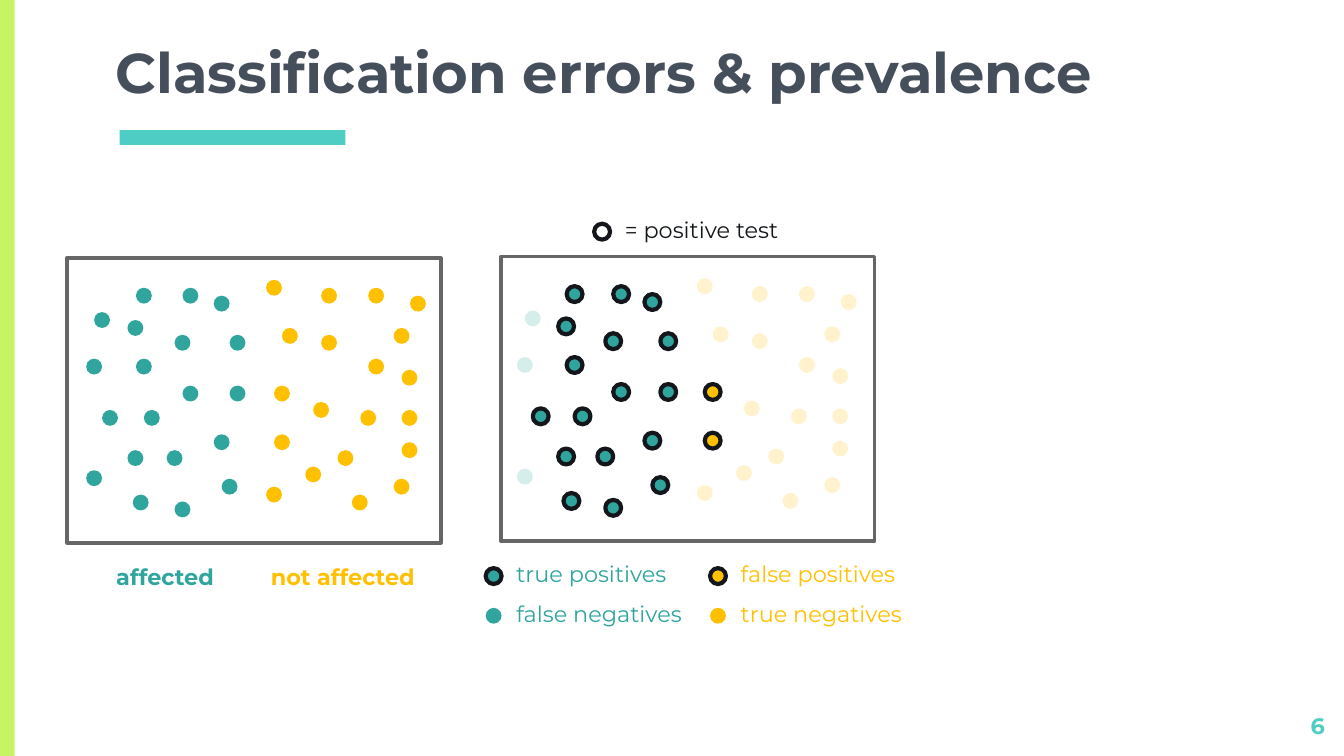
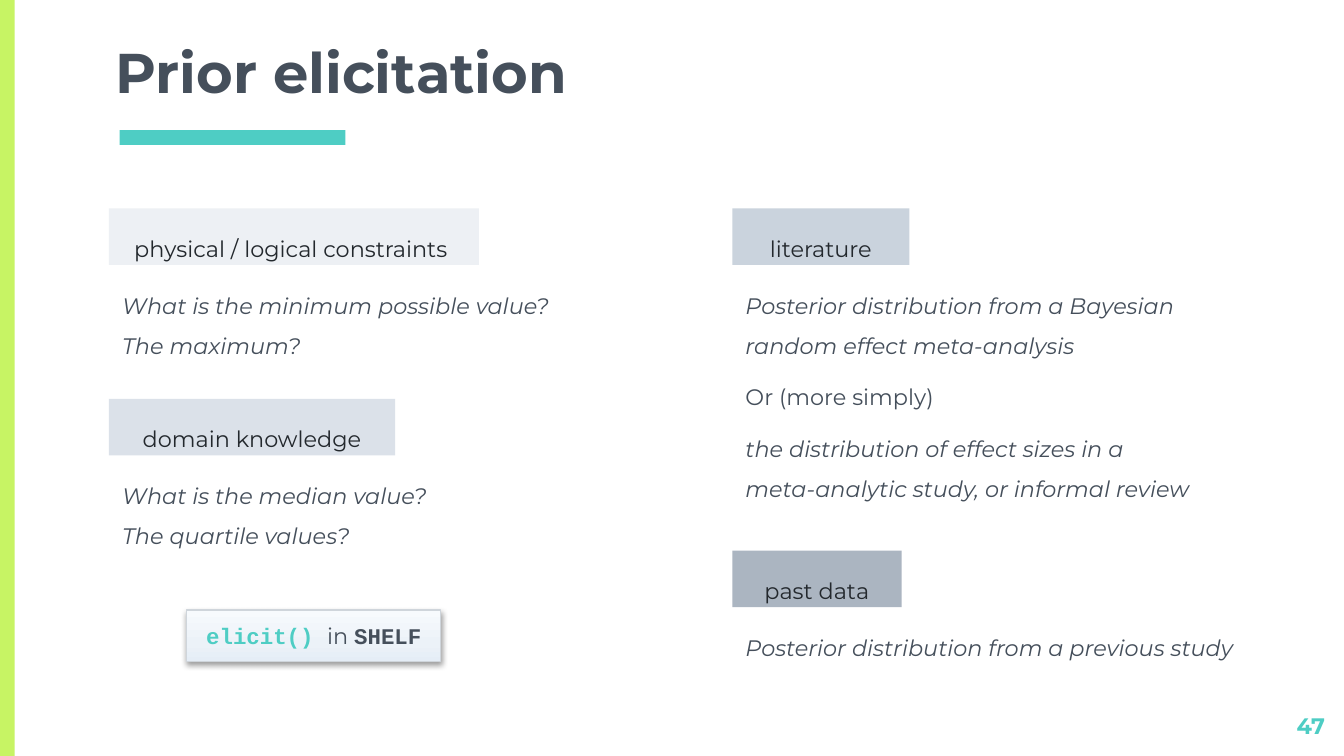
from dataclasses import dataclass

from lxml import etree
from pptx import Presentation
from pptx import util as u
from pptx.dml.color import RGBColor
from pptx.enum import shapes, text
from pptx.oxml.ns import qn

RECT, OVAL = shapes.MSO_SHAPE.RECTANGLE, shapes.MSO_SHAPE.OVAL
LEFT, CENTER, RIGHT = text.PP_ALIGN.LEFT, text.PP_ALIGN.CENTER, text.PP_ALIGN.RIGHT
TOP, MIDDLE, BOTTOM = text.MSO_ANCHOR.TOP, text.MSO_ANCHOR.MIDDLE, text.MSO_ANCHOR.BOTTOM


@dataclass(frozen=True)
class Theme:
    font: str = "Montserrat"
    code_font: str = "Courier New"
    title_size: float = 30
    body_size: float = 12
    slate: str = "454F5B"
    ink: str = "23282D"
    turquoise: str = "4ECDC4"
    lime: str = "C7F464"
    affected: str = "2FA59D"
    healthy: str = "FFC000"
    ring: str = "13161A"
    key_text: str = "121619"
    frame: str = "666666"
    white: str = "FFFFFF"
    card_line: str = "CFD5DB"
    card_stops: tuple = ((0, "E5EDF6"), (35, "ECF2F8"), (100, "F7FAFD"))
    topics: tuple = ("EDF0F4", "DBE1E9", "CAD3DD", "ABB5C1")


THEME = Theme()


@dataclass(frozen=True)
class Box:
    """A rectangle in centimetres."""
    left: float
    top: float
    width: float
    height: float

    def inner(self, left, top, width, height):
        return Box(self.left + left, self.top + top, width, height)

    def lengths(self):
        return [u.Cm(n) for n in (self.left, self.top, self.width, self.height)]


PAGE = Box(0, 0, 25.4, 14.29)
DOT = 0.3
INSET = 0.25
HANGING_INSET = 0.46
LABEL_HEIGHT = 1.07

# Dot corners inside a panel, by (affected, positive test)
DOTS = {
    (True, True): [
        (1.3, 1.9), (2.03, 1.45), (2.18, 0.56), (1.14, 1.17), (0.66, 2.87), (1.45, 2.87),
        (2.18, 2.41), (1.14, 3.63), (1.88, 3.63), (2.77, 3.33), (3.07, 1.45), (2.03, 4.6),
        (2.77, 0.71), (1.3, 0.56), (1.24, 4.47), (2.92, 4.17), (3.07, 2.41)],
    (True, False): [(0.36, 1.9), (0.51, 1.02), (0.36, 4.01)],
    (False, True): [(3.91, 3.33), (3.91, 2.41)],
    (False, False): [
        (5.69, 1.9), (4.8, 1.45), (4.8, 0.56), (6.17, 1.32), (6.32, 2.11), (6.32, 2.87),
        (5.54, 2.87), (4.65, 2.72), (6.17, 4.17), (5.11, 3.63), (4.06, 1.32), (4.5, 3.94),
        (6.48, 0.71), (3.76, 0.41), (5.69, 0.56), (6.32, 3.48), (5.38, 4.47), (3.76, 4.32)],
}


def rgb(color):
    return RGBColor.from_string(color)


def add_child(parent, tag, **attributes):
    return etree.SubElement(parent, qn(tag), {k: str(v) for k, v in attributes.items()})


def add_block(parent, kind, box, fill=None, line=None, weight=1.0):
    shape = parent.shapes.add_shape(kind, *box.lengths())
    shape.shadow.inherit = False
    if fill:
        shape.fill.solid()
        shape.fill.fore_color.rgb = rgb(fill)
    else:
        shape.fill.background()
    if line:
        shape.line.color.rgb = rgb(line)
        shape.line.width = u.Pt(weight)
    else:
        shape.line.fill.background()
    return shape


def style_span(span, color, size=THEME.body_size, font=THEME.font, bold=False, italic=False):
    span.font.name, span.font.size = font, u.Pt(size)
    span.font.bold, span.font.italic = bold, italic
    span.font.color.rgb = rgb(color)


def set_up_frame(shape, anchor=TOP, left_inset=INSET):
    frame = shape.text_frame
    frame.word_wrap, frame.vertical_anchor = True, anchor
    frame.margin_left = u.Cm(left_inset)
    frame.margin_right = frame.margin_top = frame.margin_bottom = u.Cm(INSET)
    return frame


def write(shape, words, color, align=LEFT, anchor=TOP, left_inset=INSET, spacing=None, **style):
    frame = set_up_frame(shape, anchor, left_inset)
    frame.text = words
    para = frame.paragraphs[0]
    para.alignment, para.line_spacing = align, spacing
    for span in para.runs:
        style_span(span, color, **style)


def add_label(parent, box, words, color, **style):
    write(parent.shapes.add_textbox(*box.lengths()), words, color, **style)


def add_page(deck, title, number):
    page = deck.slides.add_slide(deck.slide_layouts[6])
    add_block(page, RECT, PAGE.inner(2.26, 2.46, 4.27, 0.28), THEME.turquoise)
    add_block(page, RECT, PAGE.inner(0, 0, 0.28, PAGE.height), THEME.lime)
    add_label(page, PAGE.inner(1.93, -0.46, 21.56, 2.69), title, THEME.slate,
              anchor=BOTTOM, size=THEME.title_size, bold=True)
    add_label(page, PAGE.inner(23.77, 13.21, 1.52, 0.86), str(number), THEME.turquoise,
              align=RIGHT, bold=True)
    return page


def add_dot(parent, box, fill, ringed=False, faded=False):
    dot = add_block(parent, OVAL, box, fill, THEME.ring if ringed else None, 2.25)
    if faded:
        color = dot._element.spPr.find(qn("a:solidFill")).find(qn("a:srgbClr"))
        add_child(color, "a:alpha", val=20000)


def group_color(affected):
    return THEME.affected if affected else THEME.healthy


def add_panel(page, box, tested=False, dot_shift=0):
    """Draw the framed population; a tested one rings positives and fades the rest."""
    panel = page.shapes.add_group_shape()
    for (affected, positive), corners in DOTS.items():
        for left, top in corners:
            add_dot(panel, box.inner(left + dot_shift, top, DOT, DOT), group_color(affected),
                    ringed=tested and positive, faded=tested and not positive)
    add_block(panel, RECT, box, line=THEME.frame, weight=2)


def add_panel_labels(page, box):
    for left, width, words, affected in ((0.03, 3.43, "affected", True),
                                         (2.87, 4.47, "not affected", False)):
        add_label(page, box.inner(left, 5.51, width, LABEL_HEIGHT), words, group_color(affected),
                  align=CENTER, left_inset=HANGING_INSET, bold=True)


def add_key_entry(parent, box, words, text_color, fill, ringed):
    add_label(parent, box, words, text_color, left_inset=HANGING_INSET)
    add_dot(parent, box.inner(-0.12, 0.4, DOT, DOT), fill, ringed)


def add_legend(page, box):
    legend = page.shapes.add_group_shape()
    rows = (("true positives", "false positives"), ("false negatives", "true negatives"))
    for row, entries in enumerate(rows):
        for column, words in enumerate(entries):
            color = group_color(column == 0)
            add_key_entry(legend, box.inner(column * 4.24, row * 0.75, 4.37, 0.89),
                          words, color, color, ringed=row == 0)


def build_errors(deck):
    page = add_page(deck, "Classification errors & prevalence", 6)
    population = PAGE.inner(1.27, 4.88, 7.06, 5.38)
    add_panel(page, population)
    add_panel_labels(page, population)
    add_panel(page, PAGE.inner(9.47, 4.85, 7.06, 5.38), tested=True, dot_shift=-0.06)
    key = page.shapes.add_group_shape()
    add_key_entry(key, PAGE.inner(11.35, 3.83, 4.37, LABEL_HEIGHT), "= positive test",
                  THEME.key_text, THEME.white, ringed=True)
    add_legend(page, PAGE.inner(9.3, 10.34, 8.61, 1.64))


def add_topic(page, box, heading, heading_width, fill, notes):
    """Place a tinted heading with (words, italic) notes below it."""
    tag = add_block(page, RECT, box.inner(0, 0, heading_width, LABEL_HEIGHT), fill)
    write(tag, heading, THEME.ink, align=CENTER, spacing=1.5)
    body = box.inner(0, LABEL_HEIGHT, box.width, box.height - LABEL_HEIGHT)
    frame = set_up_frame(page.shapes.add_textbox(*body.lengths()))
    for index, (words, italic) in enumerate(notes):
        para = frame.add_paragraph() if index else frame.paragraphs[0]
        para.text = words
        para.line_spacing, para.space_after = 1.5, u.Pt(6)
        for span in para.runs:
            style_span(span, THEME.slate, italic=italic)


def add_function_card(page, box):
    card = add_block(page, RECT, box, line=THEME.card_line, weight=0.75)
    card.fill.gradient()
    card.fill.gradient_angle = 90
    properties = card._element.spPr
    stops = properties.find(qn("a:gradFill")).find(qn("a:gsLst"))
    stops.clear()
    for position, color in THEME.card_stops:
        add_child(add_child(stops, "a:gs", pos=position * 1000), "a:srgbClr", val=color)
    shadow = add_child(properties.find(qn("a:effectLst")), "a:outerShdw", blurRad=u.Pt(3.1),
                       dist=u.Pt(1.6), dir=90 * 60000, algn="t", rotWithShape=0)
    add_child(add_child(shadow, "a:srgbClr", val="000000"), "a:alpha", val=38000)
    para = set_up_frame(card, MIDDLE).paragraphs[0]
    para.alignment = CENTER
    for words, color, font in (("elicit() ", THEME.turquoise, THEME.code_font),
                               ("in ", THEME.slate, THEME.font),
                               ("SHELF", THEME.slate, THEME.code_font)):
        span = para.add_run()
        span.text = words
        style_span(span, color, font=font, bold=font == THEME.code_font)


def build_elicitation(deck):
    page = add_page(deck, "Prior elicitation", 47)
    left, right = 2.06, 13.84
    topics = (
        (PAGE.inner(left, 3.94, 8.66, 2.87), "physical / logical constraints ", 6.99,
         [("What is the minimum possible value?\vThe maximum?", True)]),
        (PAGE.inner(left, 7.54, 8.66, 2.87), "domain knowledge", 5.41,
         [("What is the median value?\vThe quartile values?", True)]),
        (PAGE.inner(right, 3.94, 8.99, 5.59), "literature", 3.35,
         [("Posterior distribution from a Bayesian random effect meta-analysis", True),
          ("Or (more simply)", False),
          ("the distribution of effect sizes in a meta-analytic study, or informal review",
           True)]),
        (PAGE.inner(right, 10.41, 10.08, 2.87), "past data", 3.2,
         [("Posterior distribution from a previous study", True)]),
    )
    for (box, heading, width, notes), fill in zip(topics, THEME.topics):
        add_topic(page, box, heading, width, fill, notes)
    add_function_card(page, PAGE.inner(3.53, 11.53, 4.8, 0.97))


def main():
    deck = Presentation()
    deck.slide_width, deck.slide_height = u.Cm(PAGE.width), u.Cm(PAGE.height)
    build_errors(deck)
    build_elicitation(deck)
    deck.save("out.pptx")


if __name__ == "__main__":
    main()
